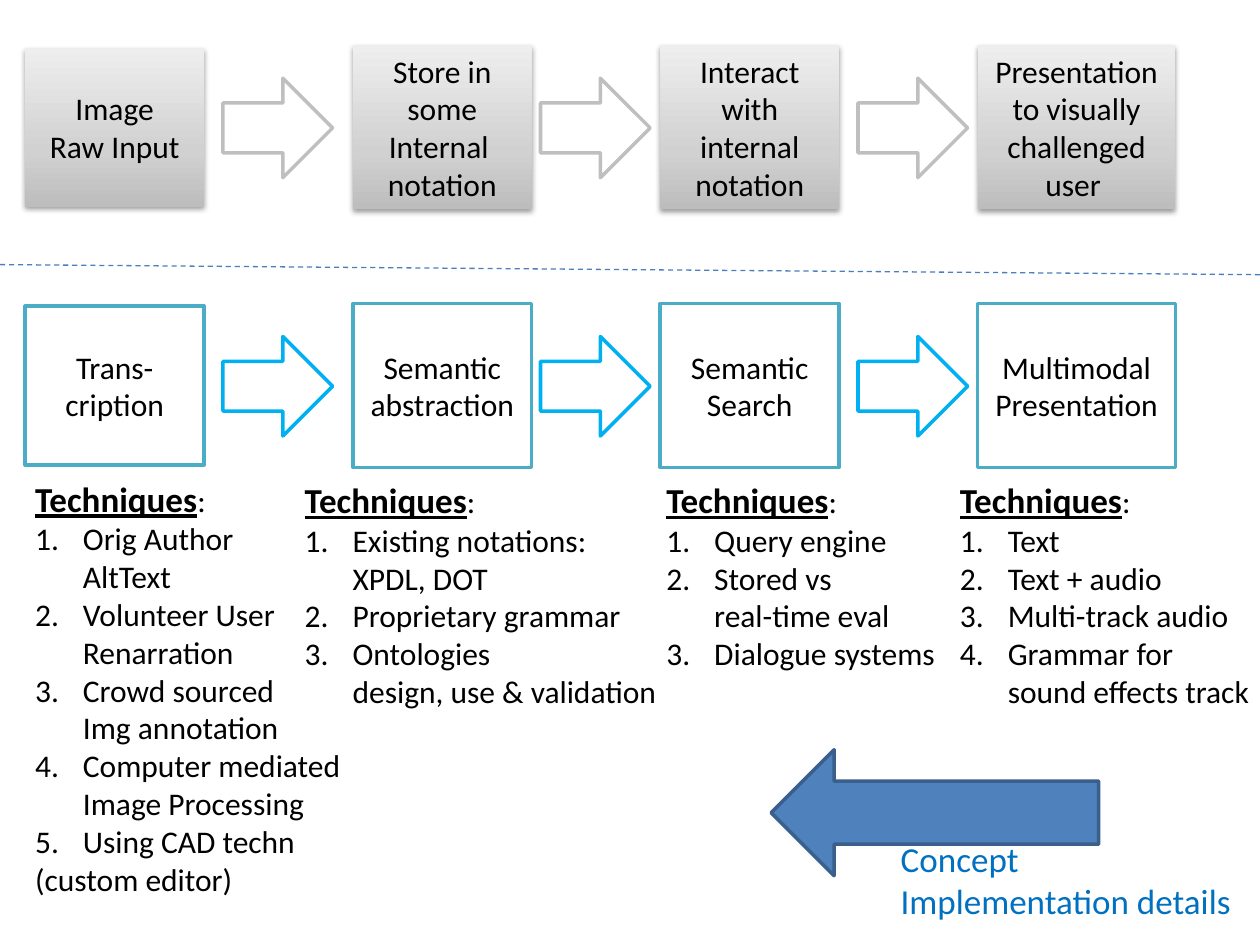
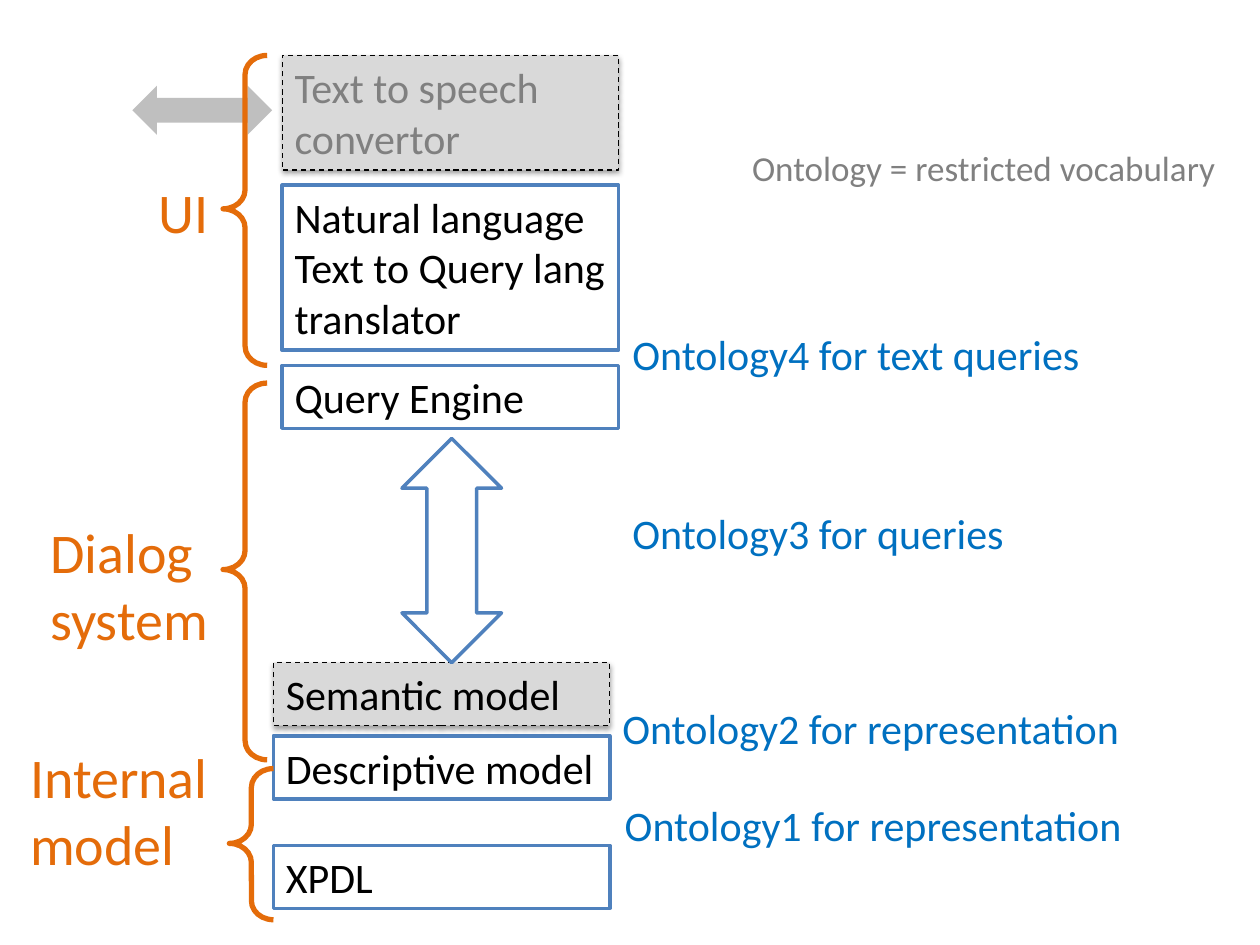
from dataclasses import dataclass
from lxml.etree import SubElement
from pptx import Presentation
from pptx.dml.color import RGBColor
from pptx.enum.dml import MSO_LINE
from pptx.enum.shapes import MSO_CONNECTOR, MSO_SHAPE
from pptx.enum.text import MSO_ANCHOR, MSO_AUTO_SIZE, PP_ALIGN
from pptx.oxml.ns import qn
from pptx.util import Inches, Pt
from copy import deepcopy


@dataclass(frozen=True)
class Theme:
    """Colours, type sizes and line widths of both slides."""
    font: str = "Calibri"
    black: str = "000000"
    white: str = "FFFFFF"
    gray: str = "808080"
    pale: str = "D9D9D9"
    silver: str = "BFBFBF"
    blue: str = "4F81BD"
    navy: str = "3A5F8C"
    rule: str = "4B7EBC"
    teal: str = "4BACC6"
    sky: str = "00B0F0"
    note: str = "0070C0"
    orange: str = "E46C0A"
    shade: tuple = ((0, "BDBDBD"), (0.35, "D1D1D1"), (1, "EEEEEE"))
    small: int = 18
    head: int = 20
    body: int = 24
    large: int = 32
    thin: float = 0.75
    edge: float = 2
    thick: float = 3


T = Theme()
COLS, ROWS = 100, 75  # grid of tenths of an inch
STEP = 25.2           # columns from one flow arrow to the next
DROP = 20.5           # rows from the upper flow to the lower one
STAGES = ((2, 3.8, 14.2, 12.6), (28, 3.6, 14.2, 13),
          (52.4, 3.6, 14.2, 13), (77.6, 3.6, 15.7, 13))
GOALS = ("Image¶Raw Input", "Store in some Internal \nnotation",
         "Interact with internal notation",
         "Presentation to visually challenged user ")
MEANS = ("Trans-cription", "Semantic abstraction", "Semantic Search",
         "Multimodal Presentation")
LISTS = (
    ((1.8, 37.4, 26.5, 34.7),
     ("Orig Author\nAltText", "Volunteer User\nRenarration",
      "Crowd sourced \nImg annotation",
      "Computer mediated\nImage Processing", "Using CAD techn"),
     "(custom editor)"),
    ((23.2, 37.5, 30.2, 19.5),
     ("Existing notations: \nXPDL, DOT", "Proprietary grammar",
      "Ontologies\ndesign, use & validation"), ""),
    ((51.9, 37.5, 23.5, 16.5),
     ("Query engine", "Stored vs \nreal-time eval", "Dialogue systems"), ""),
    ((75.2, 37.5, 25.2, 19.5),
     ("Text ", "Text + audio", "Multi-track audio",
      "Grammar for\nsound effects track"), ""),
)
LOW, HIGH = 21.7, 22.4  # left columns of the two box stacks
LAYERS = (
    (LOW, 67.1, 5, "XPDL", {}),
    (LOW, 58.4, 5, "Descriptive model", {"wrap": False}),
    (LOW, 52.6, 5, "Semantic model", {"dash": True}),
    (HIGH, 29, 5, "Query Engine", {}),
    (HIGH, 14.7, 13.1, "Natural language Text to Query lang translator", {}),
    (HIGH, 4.4, 9.1, "Text to speech convertor",
     {"dash": True, "color": T.gray}),
)
TERMS = ((48.6, 63, 41.8, "Ontology1 for representation"),
         (48.4, 55.3, 41.8, "Ontology2 for representation"),
         (49.2, 39.8, 31.8, "Ontology3 for queries"),
         (49.2, 25.6, 37.8, "Ontology4 for text queries"))
PARTS = (((11.6, 13.6, 6, 6.4), "UI", (17.7, 4.4, 3.5, 24.6)),
         ((3, 40.6, 14.7, 11.8), "Dialog\nsystem", (17.7, 30.4, 3.5, 29.9)),
         ((1.4, 58.4, 16.3, 11.8), "Internal¶model", (18.2, 61, 3.5, 12)))


def grid(*cells):
    """Turn grid columns or rows into lengths."""
    return [Inches(c / 10) for c in cells]


def rgb(code):
    """Turn a hex code into a colour."""
    return RGBColor.from_string(code)


def write(para, text, size=T.small, color=T.black, bold=False, under=False):
    """Add text to a paragraph; a newline becomes a line break."""
    for i, line in enumerate(text.split("\n")):
        if i:
            para.add_line_break()
        run = para.add_run()
        run.text = line
        font = run.font
        font.name, font.size = T.font, Pt(size)
        font.color.rgb = rgb(color)
        font.bold, font.underline = bold, under


def fill_in(frame, text, mid=False, wrap=True, **form):
    """Fill a frame with text; a pilcrow starts a new paragraph."""
    frame.word_wrap = wrap
    frame.vertical_anchor = MSO_ANCHOR.MIDDLE if mid else MSO_ANCHOR.TOP
    frame.auto_size = (MSO_AUTO_SIZE.NONE if mid
                       else MSO_AUTO_SIZE.SHAPE_TO_FIT_TEXT)
    for i, part in enumerate(text.split("¶")):
        para = frame.add_paragraph() if i else frame.paragraphs[0]
        para.alignment = PP_ALIGN.CENTER if mid else PP_ALIGN.LEFT
        write(para, part, **form)


def label(slide, at, text, **form):
    """Place an unwrapped text box."""
    frame = slide.shapes.add_textbox(*grid(*at)).text_frame
    fill_in(frame, text, wrap=False, **form)
    return frame


def shape(slide, kind, at, fill=None, line=None, width=T.edge):
    """Place a flat preset shape."""
    item = slide.shapes.add_shape(kind, *grid(*at))
    item.shadow.inherit = False
    if fill:
        item.fill.solid()
        item.fill.fore_color.rgb = rgb(fill)
    else:
        item.fill.background()
    if line:
        item.line.color.rgb = rgb(line)
        item.line.width = Pt(width)
    else:
        item.line.fill.background()
    return item


def lift(item):
    """Give a shape a soft shadow below it."""
    effects = item._element.spPr.find(qn("a:effectLst"))
    cast = SubElement(effects, qn("a:outerShdw"), blurRad="40000",
                      dist="20000", dir="5400000", rotWithShape="0")
    tone = SubElement(cast, qn("a:srgbClr"), val=T.black)
    SubElement(tone, qn("a:alpha"), val="38000")


def blend(item):
    """Give a shape the gray gradient, dark at the bottom."""
    item.fill.gradient()
    item.fill.gradient_angle = 90
    stops = item._element.spPr.find(qn("a:gradFill")).find(qn("a:gsLst"))
    stops.append(deepcopy(stops[-1]))
    for stop, (place, code) in zip(item.fill.gradient_stops, T.shade):
        stop.position = place
        stop.color.rgb = rgb(code)


def flow(slide, texts, drop, arrow, line=None):
    """Draw a row of stages with arrows; shaded if it has no line."""
    for (x, y, w, h), text in zip(STAGES, texts):
        box = shape(slide, MSO_SHAPE.RECTANGLE, (x, y + drop, w, h),
                    T.white, line)
        if not line:
            blend(box)
            lift(box)
        fill_in(box.text_frame, text, mid=True)
    for i in range(len(STAGES) - 1):
        shape(slide, MSO_SHAPE.RIGHT_ARROW,
              (17.7 + i * STEP, 6.2 + drop, 8.7, 7.9), T.white, arrow)


def steps(slide, at, items, tail):
    """Write a headed, numbered list with an optional closing line."""
    frame = label(slide, at, "Techniques", size=T.head, bold=True, under=True)
    write(frame.paragraphs[0], ":")
    for text in items:
        para = frame.add_paragraph()
        props = para._p.get_or_add_pPr()
        props.set("marL", str(Inches(0.38)))
        props.set("indent", str(-Inches(0.38)))
        SubElement(props, qn("a:buFont"), typeface="+mj-lt")
        SubElement(props, qn("a:buAutoNum"), type="arabicPeriod")
        write(para, text)
    if tail:
        write(frame.add_paragraph(), tail)


def split(slide):
    """Draw the dashed line between concept and details."""
    line = slide.shapes.add_connector(MSO_CONNECTOR.STRAIGHT,
                                      *grid(0, 21, COLS, 21.8))
    line.line.color.rgb = rgb(T.rule)
    line.line.width = Pt(T.thin)
    line.line.dash_style = MSO_LINE.DASH
    SubElement(line._element.spPr, qn("a:effectLst"))


def layer(slide, x, y, h, text, dash=False, color=T.black, wrap=True):
    """Draw one box of the stack, dashed and raised on demand."""
    box = shape(slide, MSO_SHAPE.RECTANGLE, (x, y, 26.7, h),
                T.pale if dash else T.white, T.black if dash else T.blue,
                T.thin if dash else T.edge)
    if dash:
        box.line.dash_style = MSO_LINE.DASH
        lift(box)
    fill_in(box.text_frame, text, wrap=wrap, size=T.body, color=color)


def brace(slide, at):
    """Draw an orange left brace."""
    item = shape(slide, MSO_SHAPE.LEFT_BRACE, at, None, T.orange, T.thick)
    item.adjustments[0], item.adjustments[1] = 0.43, 0.495


def process(slide):
    """Build the slide of stages and techniques."""
    flow(slide, GOALS, 0, T.silver)
    flow(slide, MEANS, DROP, T.sky, T.teal)
    split(slide)
    for at, items, tail in LISTS:
        steps(slide, at, items, tail)
    back = shape(slide, MSO_SHAPE.RIGHT_ARROW, (61.2, 59.5, 26, 10),
                 T.blue, T.navy)
    back.rotation = 180
    label(slide, (70.5, 66, 28.5, 7.7), "Concept¶Implementation details",
          size=T.head, color=T.note)


def stack(slide):
    """Build the slide of system layers and ontologies."""
    for x, y, h, text, form in LAYERS:
        layer(slide, x, y, h, text, **form)
    shape(slide, MSO_SHAPE.UP_DOWN_ARROW, (31.9, 34.8, 7.9, 17.8),
          T.white, T.blue)
    shape(slide, MSO_SHAPE.LEFT_RIGHT_ARROW, (10.5, 6.8, 11.1, 3.9), T.silver)
    for x, y, w, text in TERMS:
        label(slide, (x, y, w, 5), text, size=T.body, color=T.note)
    for at, text, span in PARTS:
        label(slide, at, text, size=T.large, color=T.orange)
        brace(slide, span)
    label(slide, (58.7, 11.1, 39.1, 4.4), "Ontology = restricted vocabulary",
          size=T.head, color=T.gray)


def main():
    """Build and save both slides."""
    deck = Presentation()
    deck.slide_width, deck.slide_height = grid(COLS, ROWS)
    for build in (process, stack):
        build(deck.slides.add_slide(deck.slide_layouts[6]))
    deck.save("out.pptx")


main()
